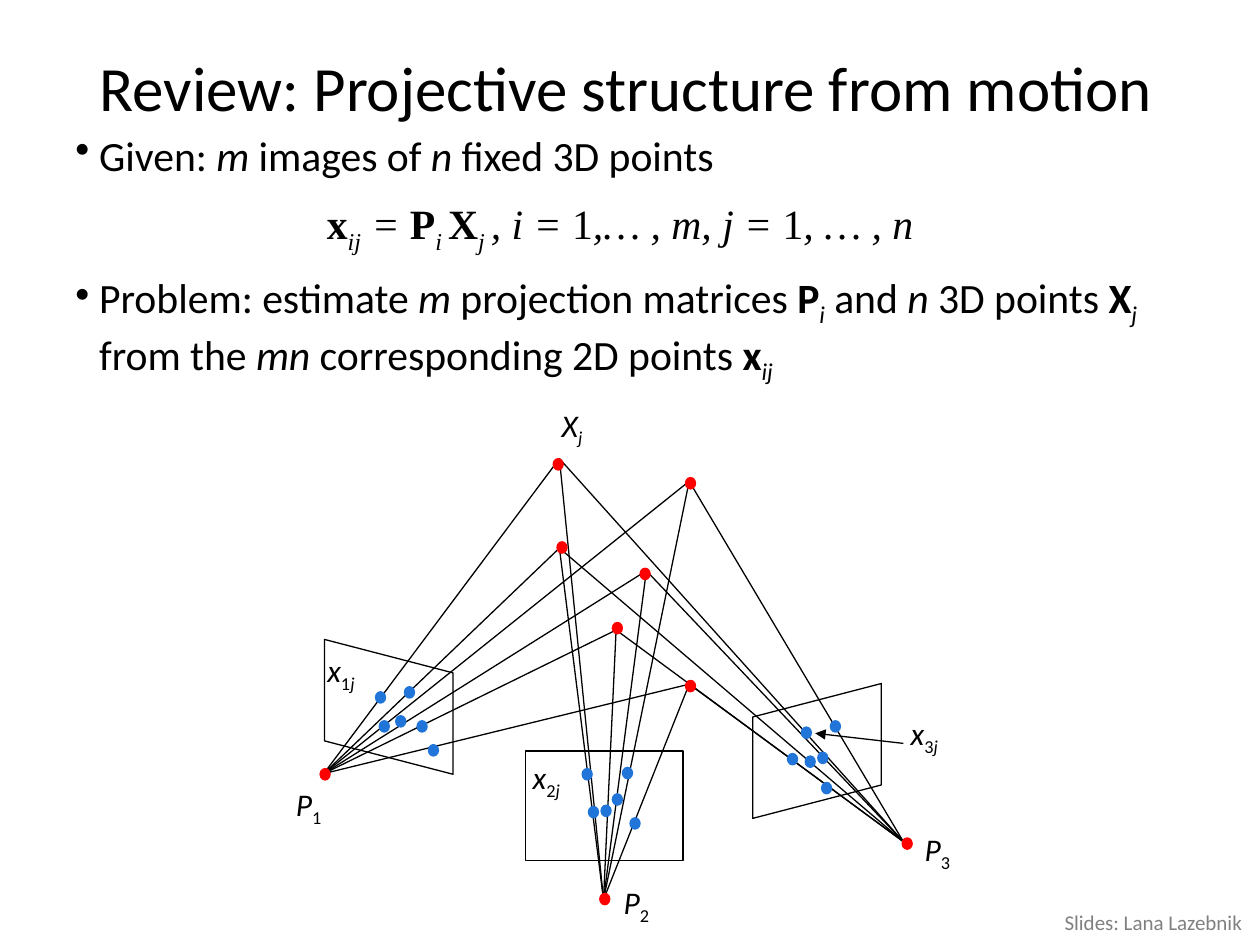
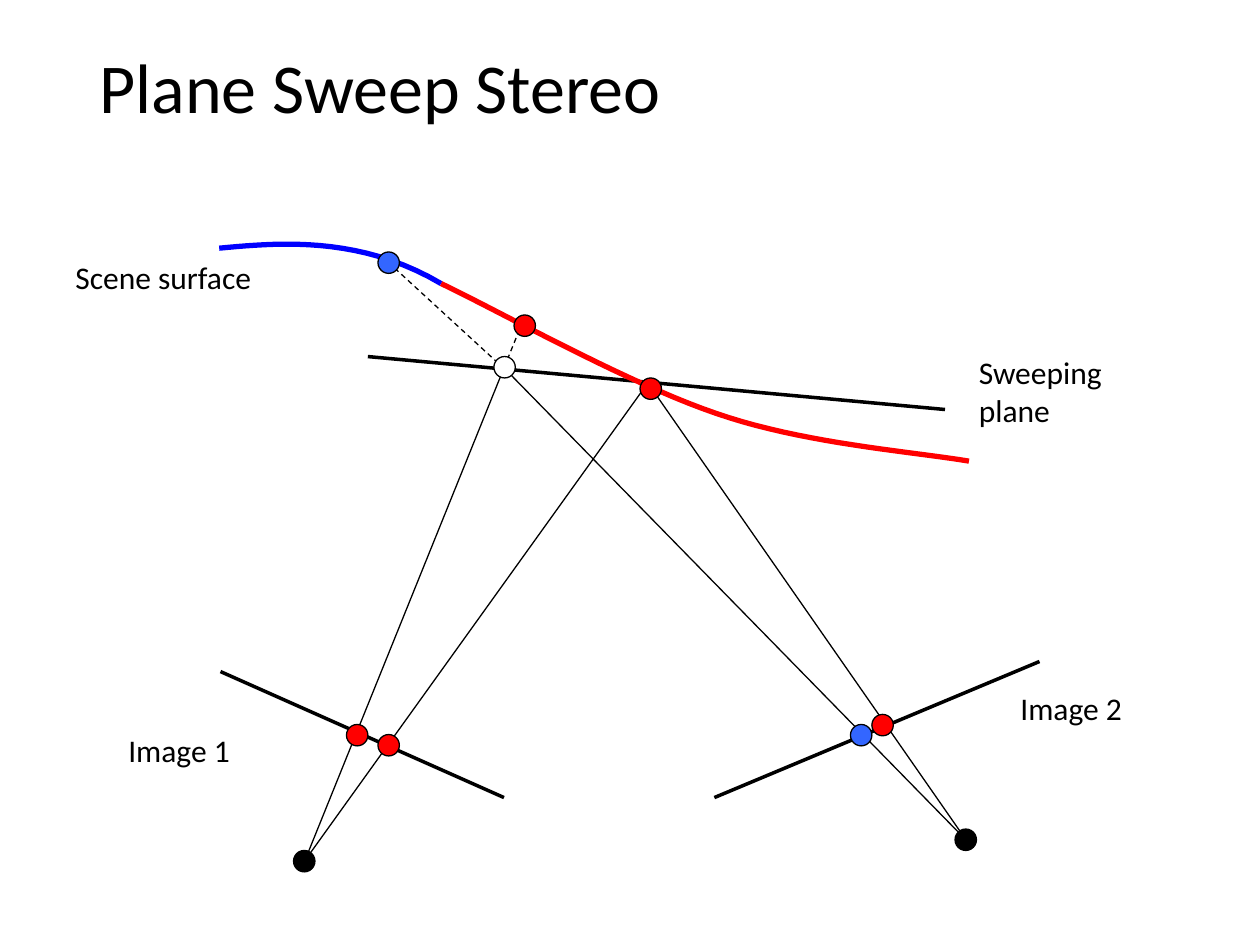
from dataclasses import dataclass
from itertools import product

from lxml import etree
from pptx import Presentation
from pptx import util as u
from pptx.dml.color import RGBColor
from pptx.enum import dml, shapes, text
from pptx.oxml import ns


@dataclass(frozen=True)
class Theme:
    font: str = "Calibri"
    math_font: str = "Times New Roman"
    black: str = "000000"
    white: str = "FFFFFF"
    red: str = "FF0000"
    grey: str = "808080"
    image_blue: str = "2175D9"
    point_blue: str = "3366FF"
    curve_blue: str = "0000FF"
    body_size: float = 23.8
    label_size: float = 18
    credit_size: float = 12
    thin: float = 0.75
    thick: float = 2
    curve: float = 3


THEME = Theme()
TITLE_BOX = (0.69, 0, 8.62, 1.45)
TITLE_FRAME = {"auto_size": text.MSO_AUTO_SIZE.NONE, "word_wrap": True,
               "vertical_anchor": text.MSO_ANCHOR.MIDDLE}
TITLE_PARAGRAPH = {"alignment": text.PP_ALIGN.LEFT, "line_spacing": 0.9}

# Run styles: b bold, i italic, s subscript.
MOTION_TITLE = ("Review: Projective structure from motion", 36)
BODY_BOX = (0.5, 0.98, 9, 2.05)
BODY = [
    {"bullet": True, "font": THEME.font, "before": 0, "runs": [
        ("Given: ", ""), ("m", "i"), (" images of ", ""), ("n", "i"),
        (" fixed 3D points", "")]},
    {"bullet": False, "font": THEME.math_font, "before": 10.5, "runs": [
        ("x", "b"), ("ij", "is"), (" = ", "i"), ("P", "b"), ("i ", "is"),
        ("X", "b"), ("j ", "is"), (", i = ", "i"), ("1", ""),
        (",… , m, j = ", "i"), ("1", ""), (", … , n", "i")]},
    {"bullet": True, "font": THEME.font, "before": 9.5, "runs": [
        ("Problem: estimate ", ""), ("m", "i"), (" projection matrices ", ""),
        ("P", "b"), ("i", "is"), (" and ", ""), ("n", "i"), (" 3D points ", ""),
        ("X", "b"), ("j", "is"), (" from the ", ""), ("mn", "i"),
        (" corresponding 2D points ", ""), ("x", "b"), ("ij", "is")]},
]
CAMERAS = [(2.57, 6.14), (4.79, 7.14), (7.17, 6.68)]
SCENE_POINTS = [(4.44, 3.64), (4.44, 4.35), (5.47, 3.82), (5.13, 4.53),
                (5.47, 5.43), (4.89, 5)]
MOTION_DOT = (0.08, 0.09)
MOTION_DOTS = {
    THEME.red: [(2.54, 6.1), (4.76, 7.09), (7.16, 6.65), (4.39, 3.64), (5.44, 3.79),
                (4.42, 4.3), (5.08, 4.51), (5.44, 5.4), (4.86, 4.94)],
    THEME.image_blue: [
        (2.98, 5.49), (3.21, 5.45), (3.14, 5.68), (3.31, 5.72), (3.4, 5.91), (3.01, 5.72),
        (4.62, 6.1), (4.77, 6.39), (4.94, 6.09), (4.86, 6.3), (5, 6.49), (4.67, 6.4),
        (6.36, 5.77), (6.59, 5.72), (6.49, 5.97), (6.39, 6), (6.52, 6.21), (6.25, 5.98)],
}
FRONT_PLANE = (4.17, 5.96, 1.25, 0.87)
SIDE_PLANES = [((2.55, 5.1, 1.07, 1.02), 270, False),
               ((5.95, 5.45, 1.07, 1.02), 90, True)]
MOTION_LABELS = [
    ((2.5, 5.12, 0.54, 0.5), [("x", "i"), ("1", "s"), ("j", "is")]),
    ((4.13, 5.97, 0.54, 0.5), [("x", "i"), ("2", "s"), ("j", "is")]),
    ((7.13, 5.62, 0.54, 0.5), [("x", "i"), ("3", "s"), ("j", "is")]),
    ((4.36, 3.17, 0.47, 0.5), [("X", "i"), ("j", "is")]),
    ((2.25, 6.18, 0.55, 0.5), [("P", "i"), ("1", "s")]),
    ((4.85, 6.96, 0.55, 0.5), [("P", "i"), ("2", "s")]),
    ((7.24, 6.54, 0.55, 0.5), [("P", "i"), ("3", "s")]),
]
LABEL_ARROW = ((7.17, 5.9), (6.47, 5.82))
CREDIT_BOX = (8.35, 7.17, 1.65, 0.3)
CREDIT = "Slides: Lana Lazebnik"

SWEEP_TITLE = ("Plane Sweep Stereo", 40)
DASHED_RAYS = [((4.06, 2.98), (3.08, 2.08)), ((4, 2.92), (4.17, 2.5))]
PLANE_LINES = [((1.75, 5.33), (4, 6.33)), ((5.67, 6.33), (8.25, 5.25)),
               ((2.92, 2.83), (7.5, 3.25))]
RAYS = [((2.42, 6.83), (4, 2.92)), ((4, 2.92), (7.67, 6.67)),
        ((2.42, 6.83), (5.17, 3)), ((5.17, 3.08), (7.67, 6.67))]
SURFACE_CURVES = [
    (THEME.red, [(3.5, 2.25), (3.98, 2.48), (4.98, 3.04), (5.68, 3.28),
                 (6.37, 3.52), (7.21, 3.58), (7.69, 3.66)]),
    (THEME.curve_blue, [(1.74, 1.97), (2.18, 1.93), (2.84, 1.86), (3.5, 2.25)]),
]
CURVE_STEPS = 20
SWEEP_DOT = (0.17, 0.17)
SWEEP_DOTS = {
    THEME.white: [(3.92, 2.83)],
    THEME.red: [(5.08, 3), (4.08, 2.5), (2.75, 5.75), (3, 5.83), (6.92, 5.67)],
    THEME.point_blue: [(6.75, 5.75), (3, 2)],
    THEME.black: [(2.33, 6.75), (7.58, 6.58)],
}
SWEEP_LABELS = [
    ((0.92, 5.75, 1.42, 0.5), "Image 1"),
    ((8, 5.42, 1.42, 0.5), "Image 2"),
    ((7.67, 2.75, 1.75, 0.91), "Sweeping plane"),
    ((0.5, 2, 1.75, 0.91), "Scene surface"),
]


def lengths(inches):
    return [u.Cm(value * 2.54) for value in inches]


def apply(target, formats):
    for name, value in formats.items():
        setattr(target, name, value)


def color(code):
    return RGBColor.from_string(code)


def add_runs(paragraph, runs, size, font=THEME.font, ink=THEME.black):
    for words, style in runs:
        run = paragraph.add_run()
        run.text = words
        apply(run.font, {"name": font, "size": u.Pt(size),
                         "bold": "b" in style, "italic": "i" in style})
        run.font.color.rgb = color(ink)
        if "s" in style:
            run.font._element.set("baseline", "-25000")


def add_text_box(slide, box, wrap=True):
    frame = slide.shapes.add_textbox(*lengths(box)).text_frame
    frame.word_wrap = wrap
    return frame


def add_title_slide(presentation, words, size):
    slide = presentation.slides.add_slide(presentation.slide_layouts[5])
    title = slide.shapes.title
    apply(title, dict(zip(("left", "top", "width", "height"), lengths(TITLE_BOX))))
    apply(title.text_frame, TITLE_FRAME)
    paragraph = title.text_frame.paragraphs[0]
    apply(paragraph, TITLE_PARAGRAPH)
    add_runs(paragraph, [(words, "")], size)
    return slide


def add_line(slide, start, end, width=THEME.thin, dash=None, arrow=False):
    line = slide.shapes.add_connector(shapes.MSO_CONNECTOR.STRAIGHT,
                                      *lengths(start + end))
    apply(line.line, {"width": u.Pt(width), "dash_style": dash})
    line.line.color.rgb = color(THEME.black)
    properties = line._element.spPr
    if arrow:
        etree.SubElement(properties.find(ns.qn("a:ln")), ns.qn("a:tailEnd"), type="triangle")
    etree.SubElement(properties, ns.qn("a:effectLst"))


def style_shape(shape, fill=None, ink=THEME.black, width=THEME.thin):
    shape.shadow.inherit = False
    if fill:
        shape.fill.solid()
        shape.fill.fore_color.rgb = color(fill)
    else:
        shape.fill.background()
    shape.line.color.rgb = color(ink)
    shape.line.width = u.Pt(width)


def add_shape(slide, kind, box, fill=None, ink=THEME.black):
    shape = slide.shapes.add_shape(kind, *lengths(box))
    style_shape(shape, fill, ink)
    return shape


def add_dots(slide, dots, size, ink=None):
    for fill, corners in dots.items():
        for corner in corners:
            add_shape(slide, shapes.MSO_SHAPE.OVAL, corner + size, fill, ink or fill)


def curve_points(controls):
    for first in range(0, len(controls) - 1, 3):
        for step in range(1, CURVE_STEPS + 1):
            t = step / CURVE_STEPS
            weights = ((1 - t) ** 3, 3 * t * (1 - t) ** 2, 3 * t * t * (1 - t), t ** 3)
            yield lengths(sum(w * point[axis]
                              for w, point in zip(weights, controls[first:first + 4]))
                          for axis in (0, 1))


def add_curve(slide, controls, ink):
    builder = slide.shapes.build_freeform(*lengths(controls[0]))
    builder.add_line_segments(list(curve_points(controls)), close=False)
    style_shape(builder.convert_to_shape(), ink=ink, width=THEME.curve)


def add_body(slide):
    frame = add_text_box(slide, BODY_BOX)
    for index, item in enumerate(BODY):
        paragraph = frame.add_paragraph() if index else frame.paragraphs[0]
        properties = paragraph._p.get_or_add_pPr()
        if item["bullet"]:
            indent = u.Cm(0.48)
            properties.set("marL", str(indent))
            properties.set("indent", str(-indent))
            etree.SubElement(properties, ns.qn("a:buChar"), char="•")
        else:
            properties.set("marR", str(u.Cm(0.4)))
            paragraph.alignment = text.PP_ALIGN.CENTER
        paragraph.space_before = u.Pt(item["before"])
        add_runs(paragraph, item["runs"], THEME.body_size, item["font"])


def build_motion_slide(presentation):
    slide = add_title_slide(presentation, *MOTION_TITLE)
    add_body(slide)
    for camera, point in product(CAMERAS, SCENE_POINTS):
        add_line(slide, camera, point)
    add_shape(slide, shapes.MSO_SHAPE.RECTANGLE, FRONT_PLANE)
    for box, rotation, flipped in SIDE_PLANES:
        plane = add_shape(slide, shapes.MSO_SHAPE.PARALLELOGRAM, box)
        plane.adjustments[0] = 0.26
        plane.rotation = rotation
        if flipped:
            plane._element.spPr.xfrm.set("flipH", "1")
    add_dots(slide, MOTION_DOTS, MOTION_DOT)
    for box, runs in MOTION_LABELS:
        frame = add_text_box(slide, box, wrap=False)
        add_runs(frame.paragraphs[0], runs, THEME.label_size)
    add_line(slide, *LABEL_ARROW, arrow=True)
    credit = add_text_box(slide, CREDIT_BOX)
    add_runs(credit.paragraphs[0], [(CREDIT, "")], THEME.credit_size, ink=THEME.grey)


def build_sweep_slide(presentation):
    slide = add_title_slide(presentation, *SWEEP_TITLE)
    for start, end in DASHED_RAYS:
        add_line(slide, start, end, dash=dml.MSO_LINE.DASH)
    for start, end in PLANE_LINES:
        add_line(slide, start, end, THEME.thick)
    for ink, controls in SURFACE_CURVES:
        add_curve(slide, controls, ink)
    for start, end in RAYS:
        add_line(slide, start, end)
    add_dots(slide, SWEEP_DOTS, SWEEP_DOT, THEME.black)
    for box, words in SWEEP_LABELS:
        frame = add_text_box(slide, box)
        add_runs(frame.paragraphs[0], [(words, "")], THEME.label_size)


def main():
    presentation = Presentation()
    presentation.slide_width, presentation.slide_height = lengths((10, 7.5))
    build_motion_slide(presentation)
    build_sweep_slide(presentation)
    presentation.save("out.pptx")


if __name__ == "__main__":
    main()
